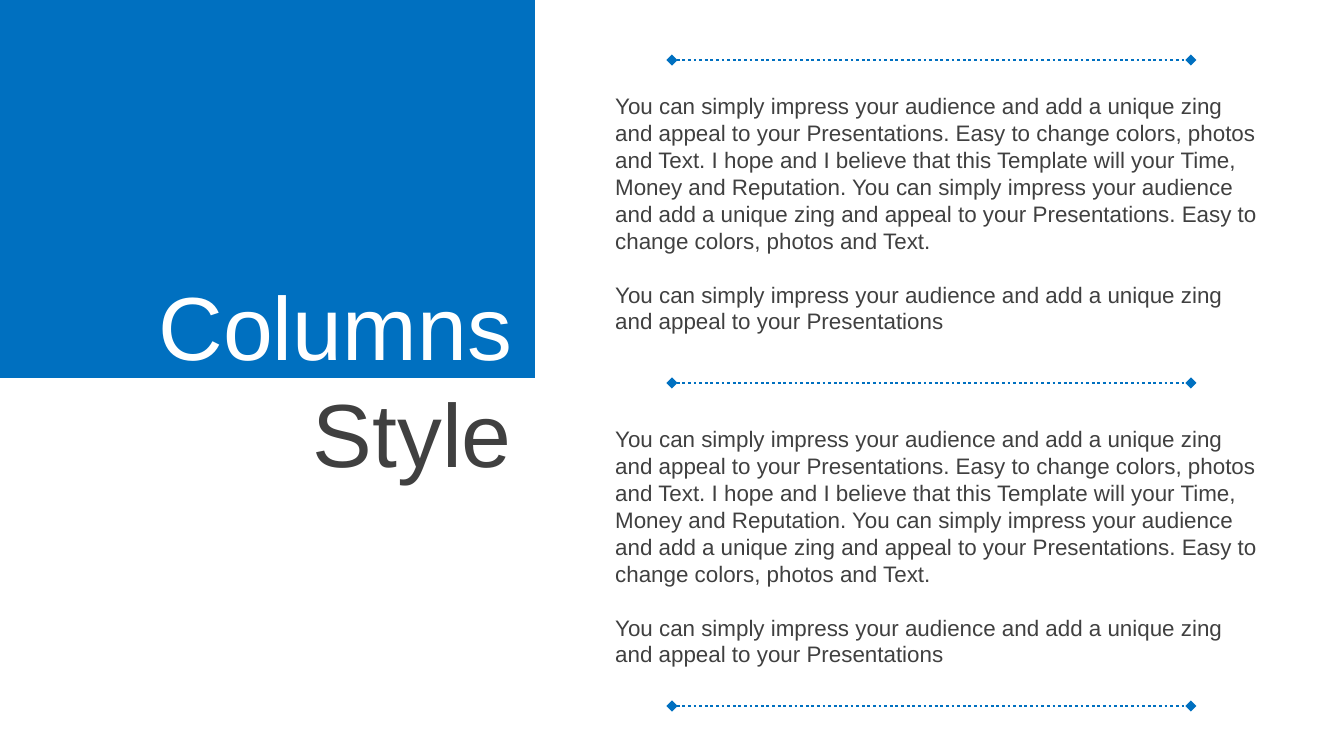
"""Builds the Columns Style slide with two text blocks between dotted rules."""
import pptx
import pptx.util
import pptx.dml.color
import pptx.enum.dml
import pptx.enum.shapes
import pptx.enum.text
import pptx.oxml.ns
from lxml import etree

BLUE = pptx.dml.color.RGBColor(0x00, 0x70, 0xC0)
GREY = pptx.dml.color.RGBColor(0x40, 0x40, 0x40)
WHITE = pptx.dml.color.RGBColor(0xFF, 0xFF, 0xFF)
LEAD = "You can simply impress your audience and add a unique zing and appeal to your Presentations"
EASY = "Easy to change colors, photos and Text."
HOPE = "I hope and I believe that this Template will your Time, Money and Reputation."
COPY = [f"{LEAD}. {EASY} {HOPE} {LEAD}. {EASY}", LEAD]


def px(n):
    return pptx.util.Emu(n * 6804)


def style(run, size, color):
    run.font.name = "Arial"
    run.font.size = pptx.util.Pt(size)
    run.font.color.rgb = color


deck = pptx.Presentation()
deck.slide_width, deck.slide_height = px(1344), px(756)
slide = deck.slides.add_slide(deck.slide_layouts[5])
shapes = slide.shapes

title = shapes.title
title.left, title.top, title.width, title.height = px(142), px(235), px(380), px(286)
frame = title.text_frame
frame.auto_size = pptx.enum.text.MSO_AUTO_SIZE.NONE
frame.vertical_anchor = pptx.enum.text.MSO_ANCHOR.MIDDLE
frame.margin_left = frame.margin_right = px(10)
para = frame.paragraphs[0]
para.alignment = pptx.enum.text.PP_ALIGN.RIGHT
for word, color in (("Columns ", WHITE), ("Style", GREY)):
    run = para.add_run()
    run.text = word
    style(run, 48, color)

panel = shapes.add_shape(pptx.enum.shapes.MSO_SHAPE.RECTANGLE, 0, 0, px(535), px(378))
panel.shadow.inherit = False
panel.fill.solid()
panel.fill.fore_color.rgb = BLUE
panel.line.fill.background()
title.element.addprevious(panel.element)

for top in (86, 419):
    box = shapes.add_textbox(px(602), px(top), px(673), px(258))
    frame = box.text_frame
    frame.word_wrap = True
    frame.text = "\n".join(COPY)
    for para in frame.paragraphs:
        style(para.runs[0], 12, GREY)
    para.space_before = pptx.util.Pt(14.4)

for row in range(3):
    y = px(60 + 323 * row)
    rule = shapes.add_connector(pptx.enum.shapes.MSO_CONNECTOR.STRAIGHT, px(672), y, px(1191), y)
    rule.line.color.rgb = BLUE
    rule.line.width = pptx.util.Pt(1.5)
    rule.line.dash_style = pptx.enum.dml.MSO_LINE.ROUND_DOT
    props = rule.element.spPr
    line = props.find(pptx.oxml.ns.qn("a:ln"))
    for end in ("a:headEnd", "a:tailEnd"):
        etree.SubElement(line, pptx.oxml.ns.qn(end), type="diamond")
    etree.SubElement(props, pptx.oxml.ns.qn("a:effectLst"))

deck.save("out.pptx")
